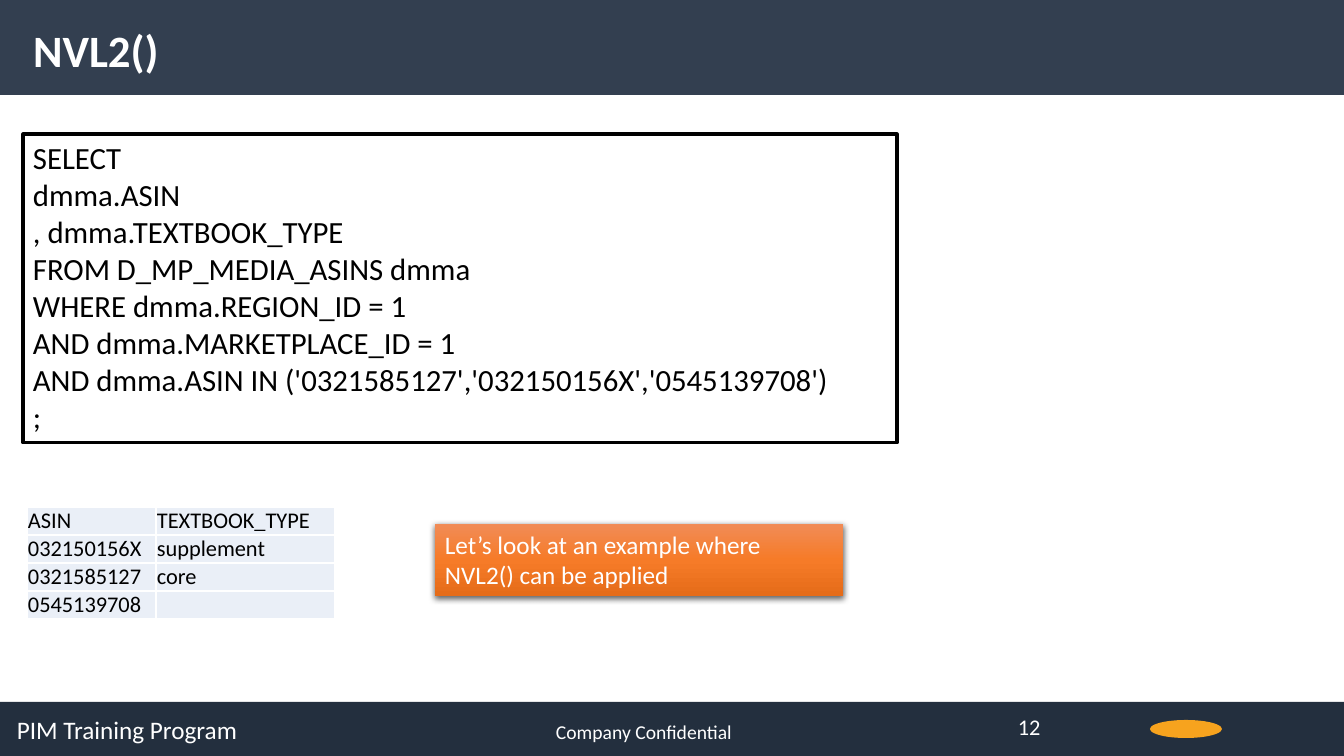
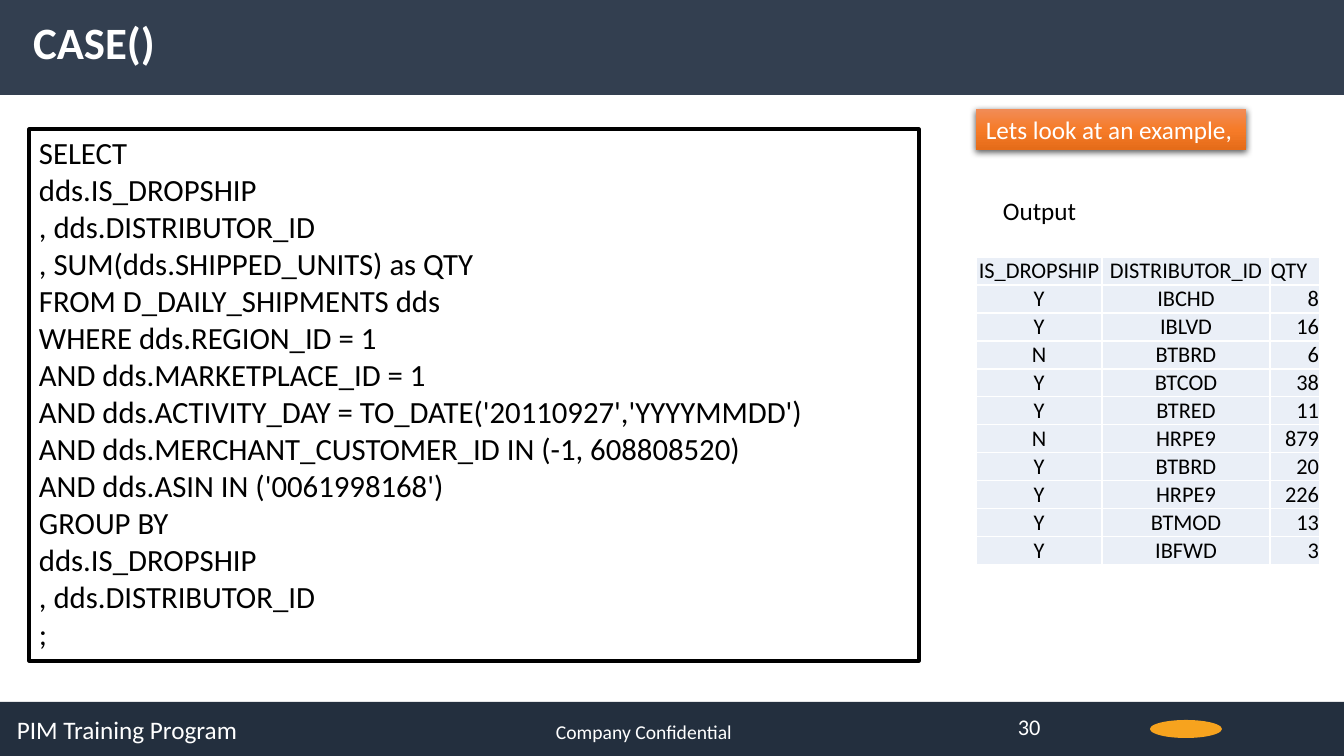
from dataclasses import dataclass

import pptx
import pptx.dml.color
import pptx.enum.shapes
import pptx.enum.text
import pptx.oxml
import pptx.oxml.ns
import pptx.presentation
import pptx.shapes.autoshape
import pptx.slide
import pptx.table
import pptx.text.text
import pptx.util

EMU_PER_PX = 914400 / 100.8
SLIDE_WIDTH, SLIDE_HEIGHT = 1344, 756
HEADER_HEIGHT = 95
FOOTER_TOP = 702
ROW_HEIGHT = 28
TITLE_ONLY = 5
FONT = "Calibri"
COLORS = {
    "header": "333F50",
    "footer": "232F3E",
    "accent": "F7A31E",
    "cell": "EAEFF7",
    "white": "FFFFFF",
    "black": "000000",
    "glow_top": "F18C57",
    "glow_middle": "F67B28",
    "glow_bottom": "E56C19",
}
ALIGN = {
    "l": pptx.enum.text.PP_ALIGN.LEFT,
    "c": pptx.enum.text.PP_ALIGN.CENTER,
    "r": pptx.enum.text.PP_ALIGN.RIGHT,
}
SHAPE = pptx.enum.shapes.MSO_SHAPE
TOP = pptx.enum.text.MSO_ANCHOR.TOP


@dataclass(frozen=True)
class Box:
    left: int
    top: int
    width: int
    height: int

    def emu(self) -> list[int]:
        return [px(n) for n in (self.left, self.top, self.width, self.height)]


@dataclass(frozen=True)
class Label:
    text: str
    box: Box
    size: int
    color: str = "white"
    wrap: bool = True


@dataclass(frozen=True)
class Output:
    left: int
    top: int
    columns: tuple[int, ...]
    header_align: str
    body_align: str
    rows: tuple[tuple[str, ...], ...]


@dataclass(frozen=True)
class Lesson:
    title: str
    title_top: int
    page: str
    query: tuple[str, ...]
    query_box: Box
    output: Output
    callout: Label
    captions: tuple[Label, ...] = ()


def px(length: int) -> int:
    return round(length * EMU_PER_PX)


def rgb(color: str) -> pptx.dml.color.RGBColor:
    return pptx.dml.color.RGBColor.from_string(COLORS[color])


def drawing_xml(fragment: str):
    """Turn a DrawingML fragment, whose root has attributes, into a node."""
    namespace = pptx.oxml.ns.nsdecls("a")
    return pptx.oxml.parse_xml(fragment.replace(" ", f" {namespace} ", 1))


def write(paragraph: pptx.text.text._Paragraph, text: str, size: int, color: str,
          bold: bool = False, align: str = "l") -> None:
    paragraph.alignment = ALIGN[align]
    run = paragraph.add_run()
    run.text = text
    run.font.name = FONT
    run.font.size = pptx.util.Pt(size)
    run.font.bold = bold
    run.font.color.rgb = rgb(color)


def add_block(slide: pptx.slide.Slide, box: Box, fill: str,
              kind: SHAPE = SHAPE.RECTANGLE) -> pptx.shapes.autoshape.Shape:
    block = slide.shapes.add_shape(kind, *box.emu())
    block.shadow.inherit = False
    block.fill.solid()
    block.fill.fore_color.rgb = rgb(fill)
    block.line.fill.background()
    return block


def add_label(slide: pptx.slide.Slide, label: Label) -> None:
    frame = slide.shapes.add_textbox(*label.box.emu()).text_frame
    frame.word_wrap = label.wrap
    write(frame.paragraphs[0], label.text, label.size, label.color)


def add_frame(slide: pptx.slide.Slide, lesson: Lesson) -> None:
    # Footer band with its mark and labels
    add_block(slide, Box(0, FOOTER_TOP, SLIDE_WIDTH, SLIDE_HEIGHT - FOOTER_TOP), "footer")
    add_block(slide, Box(1150, 720, 72, 18), "accent", SHAPE.OVAL)
    for label in (
        Label("PIM Training Program", Box(7, 709, 400, 40), 18),
        Label("Company Confidential", Box(546, 715, 300, 34), 14),
        Label(lesson.page, Box(1008, 708, 100, 40), 16),
    ):
        add_label(slide, label)

    # Header band with the title raised above it
    add_block(slide, Box(0, 0, SLIDE_WIDTH, HEADER_HEIGHT), "header")
    title = slide.shapes.title
    title.left, title.top, title.width, title.height = Box(
        23, lesson.title_top, 675, 64).emu()
    title.text_frame.vertical_anchor = TOP
    write(title.text_frame.paragraphs[0], lesson.title, 32, "white", bold=True)
    title.element.getparent().append(title.element)


def add_query(slide: pptx.slide.Slide, box: Box, lines: tuple[str, ...]) -> None:
    panel = add_block(slide, box, "white")
    panel.line.color.rgb = rgb("black")
    panel.line.width = pptx.util.Pt(2.25)
    frame = panel.text_frame
    frame.word_wrap = True
    frame.vertical_anchor = TOP
    for index, line in enumerate(lines):
        paragraph = frame.add_paragraph() if index else frame.paragraphs[0]
        write(paragraph, line, 22, "black")


def add_callout(slide: pptx.slide.Slide, label: Label) -> None:
    callout = add_block(slide, label.box, "glow_middle")
    properties = callout.element.spPr

    # Vertical three-stop gradient
    stops = "".join(
        f'<a:gs pos="{position}"><a:srgbClr val="{COLORS[name]}"/></a:gs>'
        for position, name in ((0, "glow_top"), (50000, "glow_middle"),
                               (100000, "glow_bottom")))
    solid = properties.find(pptx.oxml.ns.qn("a:solidFill"))
    properties.replace(solid, drawing_xml(
        f'<a:gradFill rotWithShape="1"><a:gsLst>{stops}</a:gsLst>'
        '<a:lin ang="5400000" scaled="0"/></a:gradFill>'))

    # Soft shadow below
    properties.find(pptx.oxml.ns.qn("a:effectLst")).append(drawing_xml(
        '<a:outerShdw blurRad="57150" dist="19050" dir="5400000" algn="ctr" '
        f'rotWithShape="0"><a:srgbClr val="{COLORS["black"]}">'
        '<a:alpha val="63000"/></a:srgbClr></a:outerShdw>'))

    frame = callout.text_frame
    frame.word_wrap = label.wrap
    frame.vertical_anchor = TOP
    write(frame.paragraphs[0], label.text, label.size, label.color)


def fill_cell(cell: pptx.table._Cell, text: str, align: str) -> None:
    cell.margin_left = cell.margin_right = px(1)
    cell.margin_top = cell.margin_bottom = 0
    cell.vertical_anchor = pptx.enum.text.MSO_ANCHOR.BOTTOM
    cell.fill.solid()
    cell.fill.fore_color.rgb = rgb("cell")
    borders = cell._tc.get_or_add_tcPr()
    for index, side in enumerate("LRTB"):
        borders.insert(index, drawing_xml(
            f'<a:ln{side} w="12700"><a:solidFill><a:srgbClr val="{COLORS["white"]}"/>'
            f'</a:solidFill></a:ln{side}>'))
    paragraph = cell.text_frame.paragraphs[0]
    if text:
        write(paragraph, text, 16, "black", align=align)
    else:
        # Keeps an empty cell as low as its row
        paragraph._p.append(drawing_xml('<a:endParaRPr sz="1600"/>'))


def add_output(slide: pptx.slide.Slide, output: Output) -> None:
    box = Box(output.left, output.top, sum(output.columns), ROW_HEIGHT * len(output.rows))
    table = slide.shapes.add_table(
        len(output.rows), len(output.columns), *box.emu()).table
    table.first_row = table.horz_banding = False
    for column, width in zip(table.columns, output.columns):
        column.width = px(width)
    for row_index, values in enumerate(output.rows):
        table.rows[row_index].height = px(ROW_HEIGHT)
        aligns = output.body_align if row_index else output.header_align
        for column_index, (value, align) in enumerate(zip(values, aligns)):
            fill_cell(table.cell(row_index, column_index), value, align)


def add_lesson(deck: pptx.presentation.Presentation, lesson: Lesson) -> None:
    slide = deck.slides.add_slide(deck.slide_layouts[TITLE_ONLY])
    add_frame(slide, lesson)
    add_query(slide, lesson.query_box, lesson.query)
    add_output(slide, lesson.output)
    for caption in lesson.captions:
        add_label(slide, caption)
    add_callout(slide, lesson.callout)


LESSONS = (
    Lesson(
        title="NVL2()", title_top=18, page="12",
        query=(
            "SELECT",
            "dmma.ASIN",
            ", dmma.TEXTBOOK_TYPE",
            "FROM D_MP_MEDIA_ASINS dmma",
            "WHERE dmma.REGION_ID = 1",
            "AND dmma.MARKETPLACE_ID = 1",
            "AND dmma.ASIN IN ('0321585127','032150156X','0545139708')",
            ";",
        ),
        query_box=Box(23, 134, 874, 309),
        output=Output(27, 507, (129, 179), "ll", "ll", (
            ("ASIN", "TEXTBOOK_TYPE"),
            ("032150156X", "supplement"),
            ("0321585127", "core"),
            ("0545139708", ""),
        )),
        callout=Label("Let’s look at an example where NVL2() can be applied",
                      Box(435, 524, 408, 72), 18),
    ),
    Lesson(
        title="CASE()", title_top=10, page="30",
        query=(
            "SELECT",
            "dds.IS_DROPSHIP",
            ", dds.DISTRIBUTOR_ID",
            ", SUM(dds.SHIPPED_UNITS) as QTY",
            "FROM D_DAILY_SHIPMENTS dds",
            "WHERE dds.REGION_ID = 1",
            "AND dds.MARKETPLACE_ID = 1",
            "AND dds.ACTIVITY_DAY = TO_DATE('20110927','YYYYMMDD')",
            "AND dds.MERCHANT_CUSTOMER_ID IN (-1, 608808520)",
            "AND dds.ASIN IN ('0061998168')",
            "GROUP BY",
            "dds.IS_DROPSHIP",
            ", dds.DISTRIBUTOR_ID",
            ";",
        ),
        query_box=Box(29, 129, 890, 532),
        output=Output(976, 257, (126, 168, 50), "ccl", "ccr", (
            ("IS_DROPSHIP", "DISTRIBUTOR_ID", "QTY"),
            ("Y", "IBCHD", "8"),
            ("Y", "IBLVD", "16"),
            ("N", "BTBRD", "6"),
            ("Y", "BTCOD", "38"),
            ("Y", "BTRED", "11"),
            ("N", "HRPE9", "879"),
            ("Y", "BTBRD", "20"),
            ("Y", "HRPE9", "226"),
            ("Y", "BTMOD", "13"),
            ("Y", "IBFWD", "3"),
        )),
        callout=Label("Lets look at an example,", Box(976, 109, 270, 41), 18, wrap=False),
        captions=(Label("Output", Box(993, 190, 95, 40), 18, "black", wrap=False),),
    ),
)


def main() -> None:
    deck = pptx.Presentation()
    deck.slide_width, deck.slide_height = px(SLIDE_WIDTH), px(SLIDE_HEIGHT)
    for lesson in LESSONS:
        add_lesson(deck, lesson)
    deck.save("out.pptx")


if __name__ == "__main__":
    main()
